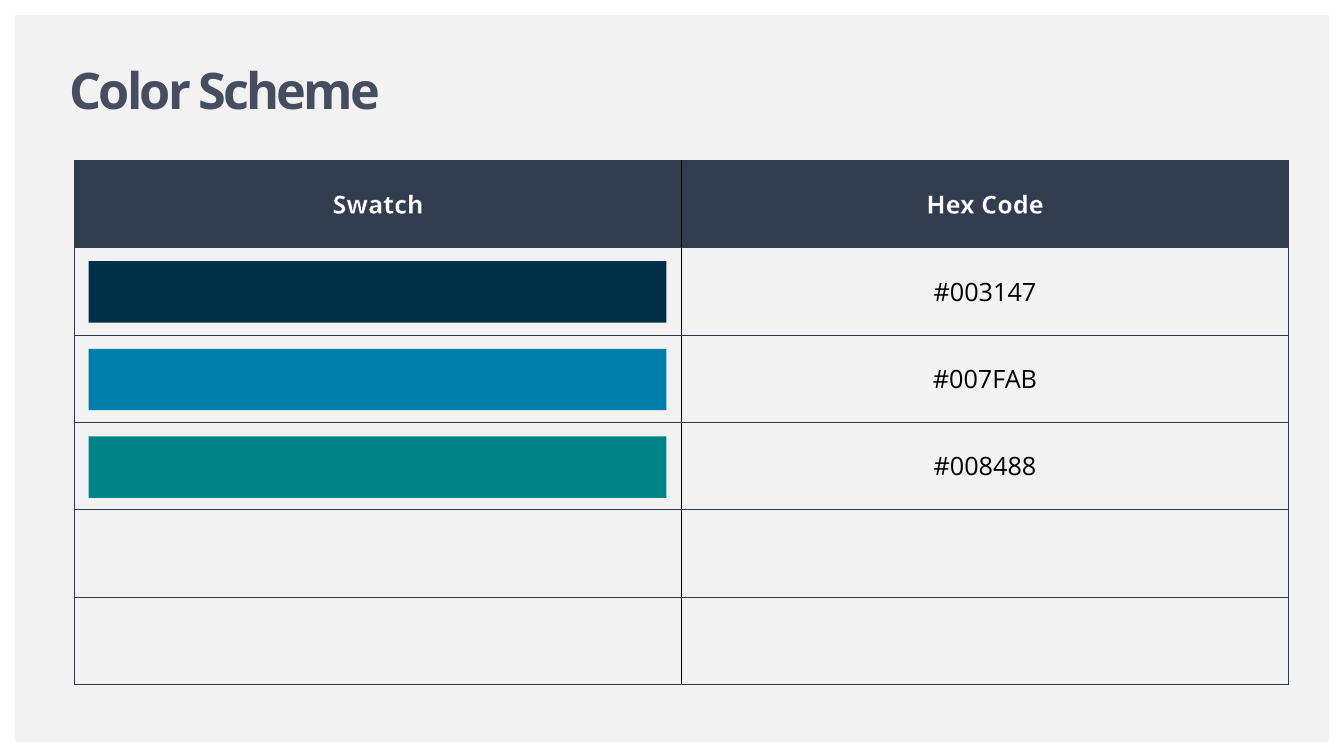
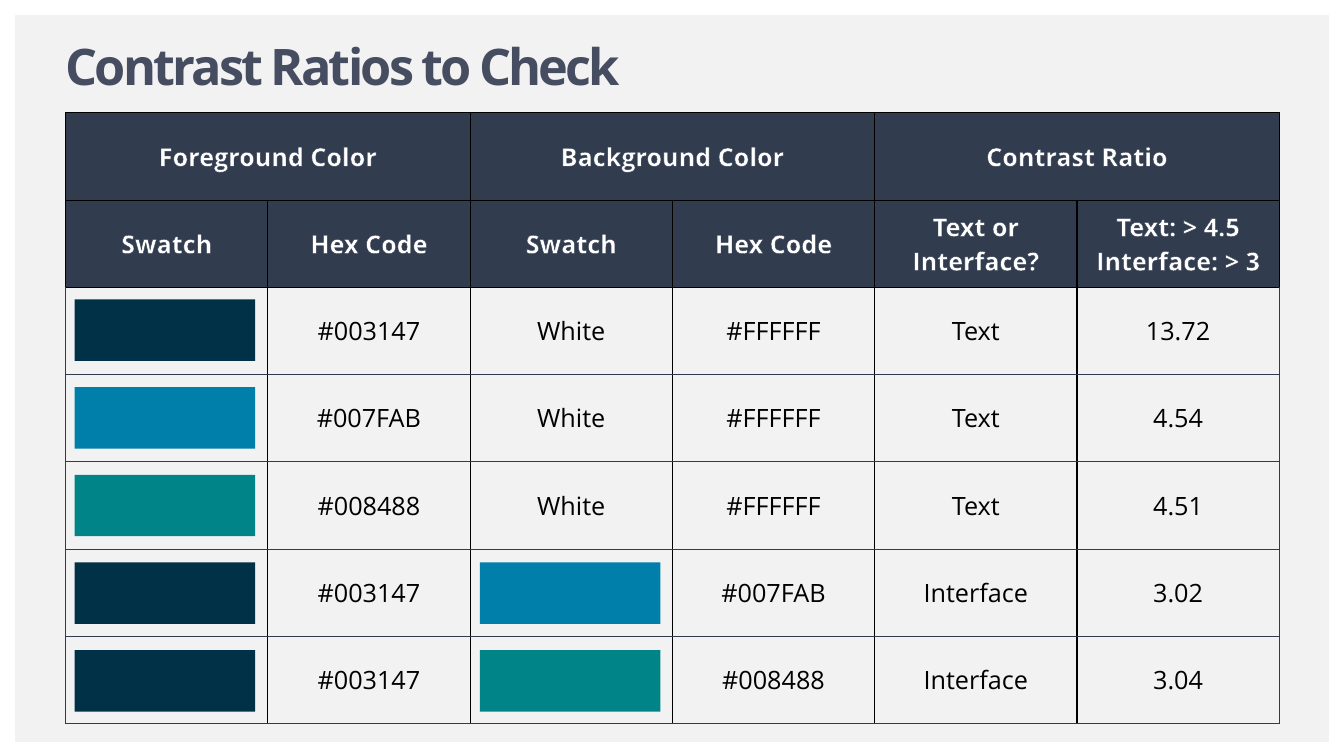
from lxml.etree import SubElement
from pptx import Presentation
from pptx.dml.color import RGBColor
from pptx.enum.shapes import MSO_SHAPE as SHAPE
from pptx.enum.text import MSO_ANCHOR as ANCHOR, PP_ALIGN as ALIGN
from pptx.oxml import parse_xml
from pptx.oxml.ns import nsdecls, qn
from pptx.util import Inches, Pt

COLORS = {
    "panel": "F2F2F2",
    "title": "464D61",
    "header": "323C4F",
    "rule": "303A4E",
    "black": "000000",
    "white": "FFFFFF",
    "navy": "003147",
    "blue": "007FAB",
    "teal": "008488",
}
FONT = "Open Sans"
TABLE_W = 12.04
SWATCH_H = 0.61
SWATCH_STEP = 0.87


def rgb(name):
    return RGBColor.from_string(COLORS[name])


class Deck:
    def __init__(self):
        self.prs = Presentation()
        self.prs.slide_width = Inches(13.33)
        self.prs.slide_height = Inches(7.5)
        self.s = None

    def slide(self, title, left, top):
        self.s = self.prs.slides.add_slide(self.prs.slide_layouts[6])
        self.rect(0.15, 0.15, 13.03, 7.21, "panel")
        self.title(title, left, top)

    def rect(self, left, top, width, height, color):
        sp = self.s.shapes.add_shape(
            SHAPE.RECTANGLE, Inches(left), Inches(top), Inches(width), Inches(height))
        sp.shadow.inherit = False
        sp.fill.solid()
        sp.fill.fore_color.rgb = rgb(color)
        sp.line.fill.background()

    def format(self, r, size, color, bold):
        r.font.name = FONT
        r.font.size = Pt(size)
        r.font.bold = bold
        r.font.color.rgb = rgb(color)

    def title(self, text, left, top):
        sp = self.s.shapes.add_textbox(
            Inches(left), Inches(top), Inches(TABLE_W), Inches(1.25))
        tf = sp.text_frame
        tf.word_wrap = True
        tf.vertical_anchor = ANCHOR.MIDDLE
        tf.margin_left = tf.margin_right = Inches(0.13)
        tf.margin_top = tf.margin_bottom = Inches(0.07)
        tf.text = text
        r = tf.paragraphs[0].runs[0]
        self.format(r, 36, "title", True)
        r.font._element.set("spc", "-200")

    def swatches(self, left, top, width, colors):
        for i, color in enumerate(colors):
            self.rect(left, top + i * SWATCH_STEP, width, SWATCH_H, color)

    def outline(self, r):
        ln = parse_xml(f'<a:ln {nsdecls("a")} w="{Pt(0.75)}"/>')
        fill = SubElement(ln, qn("a:solidFill"))
        SubElement(fill, qn("a:srgbClr"), val=COLORS["header"])
        r.font._element.insert(0, ln)

    def borders(self, cell, edges):
        tc_pr = cell._tc.get_or_add_tcPr()
        for i, (side, strong) in enumerate(edges.items()):
            color, width = ("black", 1) if strong else ("rule", 0.75)
            ln = parse_xml(f'<a:ln{side} {nsdecls("a")} w="{Pt(width)}"/>')
            fill = SubElement(ln, qn("a:solidFill"))
            SubElement(fill, qn("a:srgbClr"), val=COLORS[color])
            tc_pr.insert(i, ln)

    def cell(self, cell, text, header):
        cell.vertical_anchor = ANCHOR.MIDDLE
        if header:
            cell.fill.solid()
            cell.fill.fore_color.rgb = rgb("header")
        else:
            cell.fill.background()
        cell.text_frame.text = text
        for p in cell.text_frame.paragraphs:
            p.alignment = ALIGN.CENTER
            for r in p.runs:
                self.format(r, 18, "white" if header else "black", header)
                if header:
                    self.outline(r)

    def table(self, left, top, height, rows, headers=1, strong_header=False, spans=()):
        n_rows, n_cols = len(rows), len(rows[0])
        table = self.s.shapes.add_table(
            n_rows, n_cols, Inches(left), Inches(top), Inches(TABLE_W), Inches(height)).table
        table.first_row = table.horz_banding = False
        for row in table.rows:
            row.height = Inches(height / n_rows)
        for column in table.columns:
            column.width = Inches(TABLE_W / n_cols)
        for i, texts in enumerate(rows):
            header = i < headers
            strong = header and strong_header
            for j, text in enumerate(texts):
                cell = table.cell(i, j)
                self.cell(cell, text, header)
                self.borders(cell, {
                    "L": strong or j > 0,
                    "R": strong or j < n_cols - 1,
                    "T": strong_header and i <= headers,
                    "B": strong,
                })
        for first, last in spans:
            table.cell(0, first).merge(table.cell(0, last))


def main():
    deck = Deck()

    deck.slide("Color Scheme", 0.56, 0.26)
    deck.table(0.74, 1.59, 5.2, [
        ("Swatch", "Hex Code"),
        ("", "#003147"),
        ("", "#007FAB"),
        ("", "#008488"),
        ("", ""),
        ("", ""),
    ])
    deck.swatches(0.88, 2.59, 5.73, ["navy", "blue", "teal"])

    deck.slide("Contrast Ratios to Check", 0.52, 0.02)
    deck.table(0.65, 1.12, 6.06, [
        ("Foreground Color", "", "Background Color", "", "Contrast Ratio", ""),
        ("Swatch", "Hex Code", "Swatch", "Hex Code",
         "Text or Interface?", "Text: > 4.5\nInterface: > 3"),
        ("", "#003147", "White", "#FFFFFF", "Text", "13.72"),
        ("", "#007FAB", "White", "#FFFFFF", "Text", "4.54"),
        ("", "#008488", "White", "#FFFFFF", "Text", "4.51"),
        ("", "#003147", "", "#007FAB", "Interface", "3.02"),
        ("", "#003147", "", "#008488", "Interface", "3.04"),
    ], headers=2, strong_header=True, spans=[(0, 1), (2, 3), (4, 5)])
    deck.swatches(0.74, 2.97, 1.79, ["navy", "blue", "teal", "navy", "navy"])
    deck.swatches(4.76, 5.58, 1.79, ["blue", "teal"])

    deck.prs.save("out.pptx")


if __name__ == "__main__":
    main()
